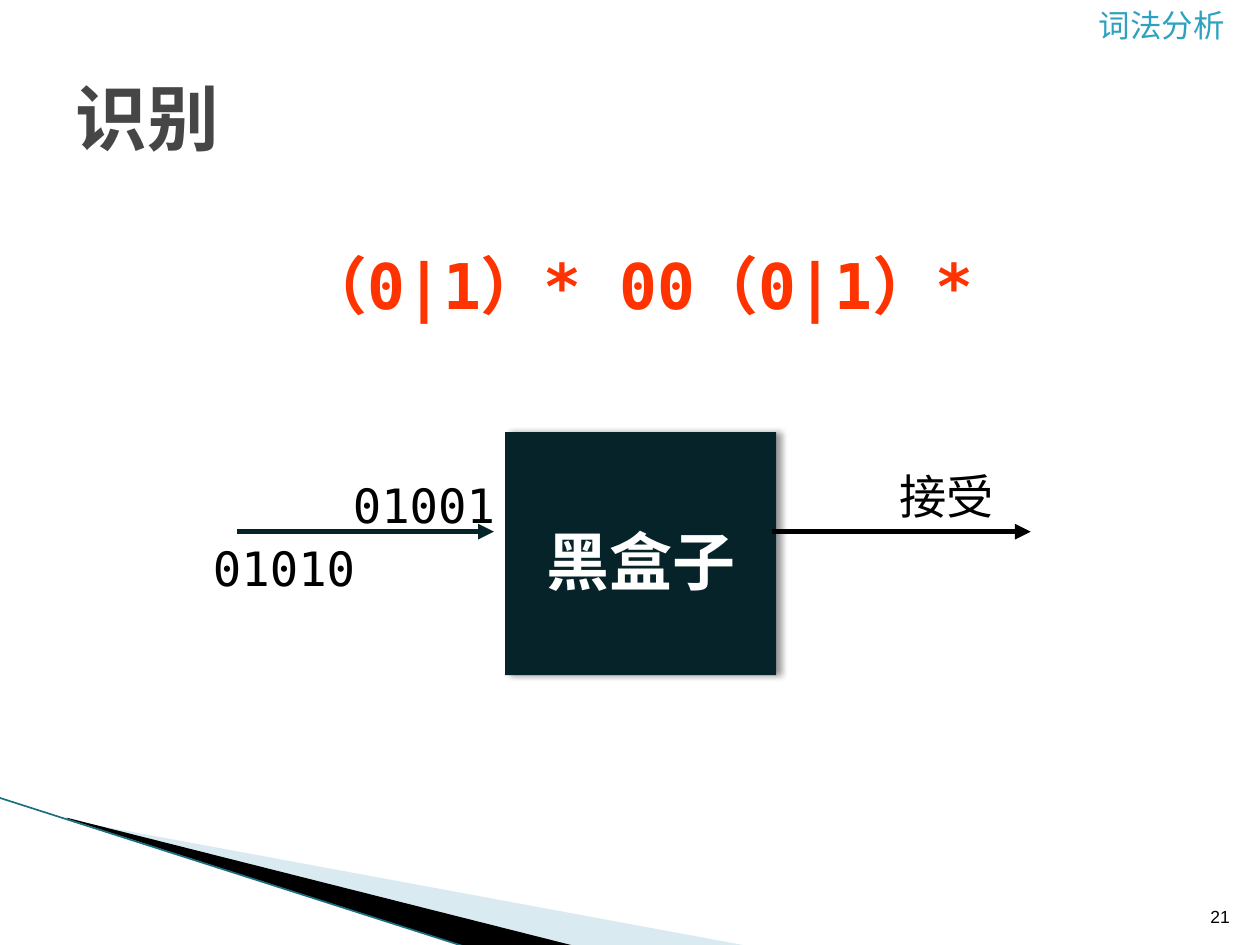
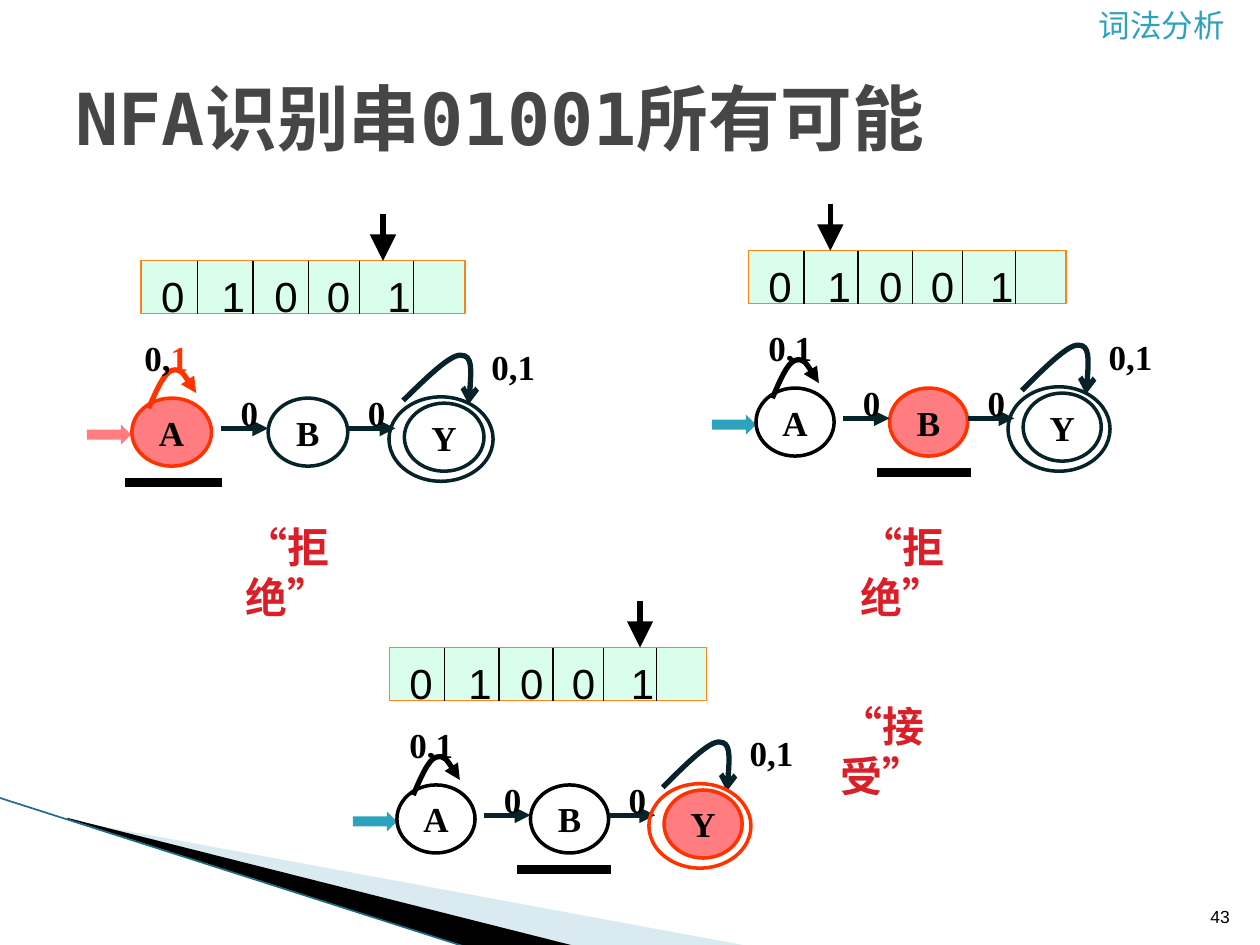
from dataclasses import dataclass

from lxml import etree
from pptx import Presentation
from pptx.dml.color import RGBColor
from pptx.enum.lang import MSO_LANGUAGE_ID as LANG
from pptx.enum.shapes import MSO_CONNECTOR as CONN, MSO_SHAPE as SHAPE
from pptx.enum.text import MSO_ANCHOR as ANCHOR, MSO_AUTO_SIZE as FIT, PP_ALIGN as ALIGN
from pptx.oxml.ns import qn
from pptx.util import Inches, Pt

MONO, SANS, SERIF = "DejaVu Sans Mono", "Arial", "Times New Roman"
BLACK, WHITE, DARK = "000000", "FFFFFF", "062329"
TEAL, PALE, EDGE = "2DA2BF", "A0CBDC", "1B6F82"
HOT, ROSE, RED = "FF3300", "FF7C80", "DA1F28"
GREY, MINT, ORANGE = "464646", "DAFEEC", "FF8119"

# Automaton geometry, in inches from the top left of the start arrow
STATES = (("A", 0.35, -0.21), ("B", 1.41, -0.21), ("Y", 2.47, -0.17))
TRANSITIONS = ((1.04, 1.10), (2.03, 2.09))
START_LOOP = ((0.48, -0.13), (0.54, -0.27), (0.6, -0.41), (0.66, -0.43),
              (0.73, -0.45), (0.79, -0.35), (0.85, -0.25))
FINAL_LOOP = ((2.46, -0.19), (2.64, -0.37), (2.83, -0.56), (2.91, -0.55),
              (3.0, -0.55), (2.99, -0.36), (2.97, -0.16))
# Tape geometry, in inches from the left of the tape
DIVIDERS = (0.44, 0.87, 1.3, 1.7, 2.12)
DIGITS = ((0.06, "0"), (0.53, "1"), (0.94, "0"), (1.35, "0"), (1.82, "1"))


@dataclass
class Machine:
    left: float
    top: float
    outlines: tuple      # A, B, Y; the hot one is the active state
    start_fill: str
    tape_left: float
    head: float          # reading head, from the left of the tape
    bar: float           # underline, from the left of the machine
    loop_label: tuple
    scale: float = 1


def rgb(value):
    return RGBColor.from_string(value)


def add_effects(sp):
    return etree.SubElement(sp._element.spPr, qn("a:effectLst"))


def set_line(sp, color, width, head=None, size="med"):
    sp.line.color.rgb = rgb(color)
    sp.line.width = Pt(width)
    if head:
        etree.SubElement(sp.line._get_or_add_ln(), qn("a:tailEnd"),
                         type=head, w=size, len=size)


def add_run(p, text, size, font, color, bold=False):
    r = p.add_run()
    r.text = text
    r.font.name, r.font.size, r.font.bold = font, Pt(size), bold
    r.font.color.rgb = rgb(color)
    return r


def add_line(slide, start, end, color, width, head=None, size="med"):
    line = slide.shapes.add_connector(CONN.STRAIGHT, *map(Inches, start + end))
    set_line(line, color, width, head, size)
    add_effects(line)


def add_box(slide, shape, box, fill=None, line=None, width=1):
    sp = slide.shapes.add_shape(shape, *map(Inches, box))
    style(sp, fill, line, width)
    return sp


def style(sp, fill=None, line=None, width=1, head=None):
    """Apply fill and outline, and drop the shadow."""
    sp.shadow.inherit = False
    if fill:
        sp.fill.solid()
        sp.fill.fore_color.rgb = rgb(fill)
    else:
        sp.fill.background()
    if line:
        set_line(sp, line, width, head)
    else:
        sp.line.fill.background()


def add_text(slide, box, runs, wrap=True, align=ALIGN.LEFT):
    tb = slide.shapes.add_textbox(*map(Inches, box))
    tf = tb.text_frame
    tf.word_wrap = wrap
    p = tf.paragraphs[0]
    p.alignment = align
    for run in runs:
        add_run(p, *run)
    return tb


def add_outline(slide, points, closed):
    points = [(Inches(x), Inches(y)) for x, y in points]
    builder = slide.shapes.build_freeform(*points[0])
    builder.add_line_segments(points[1:], close=closed)
    return builder.convert_to_shape()


def add_loop(slide, points, color, head):
    """Draw two joined cubic curves ending in an arrowhead."""
    sp = add_outline(slide, points, False)
    segments = list(sp._element.iter(qn("a:lnTo")))
    for i in range(0, len(segments), 3):
        curve = etree.SubElement(segments[i].getparent(), qn("a:cubicBezTo"))
        for segment in segments[i:i + 3]:
            curve.append(segment[0])
            segment.getparent().remove(segment)
    style(sp, line=color, width=3, head=head)


def add_frame(slide, title, number):
    """Add what all slides share: corner wedge, chapter, number and title."""
    pale = add_outline(slide, [(0.55, 6.51), (5.95, 7.51), (4.56, 7.51), (0.55, 6.5)], True)
    style(pale, PALE)
    color = pale.fill._xPr.find(qn("a:solidFill"))[0]
    etree.SubElement(color, qn("a:alpha"), val="40000")
    black = add_outline(slide, [(0.53, 6.49), (4.57, 7.51), (3.72, 7.52), (0.54, 6.5)], True)
    style(black, BLACK)
    add_line(slide, (-0.01, 6.33), (3.71, 7.52), EDGE, 0.95)
    add_text(slide, (8.62, 0, 1.38, 0.4), [("词法分析", 18, SANS, TEAL)])
    num = add_text(slide, (9.46, 7.01, 0.4, 0.4), [(number, 10, SANS, BLACK)],
                   wrap=False, align=ALIGN.RIGHT)
    num.text_frame.vertical_anchor = ANCHOR.BOTTOM
    sp = slide.shapes.title
    place(sp, (0.5, 0.3, 9, 1.25))
    p = sp.text_frame.paragraphs[0]
    p.alignment = ALIGN.LEFT
    add_run(p, title, 41, MONO, GREY, True)


def place(sp, box):
    sp.left, sp.top, sp.width, sp.height = map(Inches, box)
    sp.text_frame.auto_size = FIT.NONE


def format_paragraph(p, margin, indent=0, before=0):
    p.space_before = Pt(before)
    pPr = p._p.get_or_add_pPr()
    pPr.set("marL", str(Inches(margin)))
    pPr.set("indent", str(Inches(indent)))
    etree.SubElement(pPr, qn("a:buNone"))


def add_black_box(slide):
    sp = add_box(slide, SHAPE.RECTANGLE, (4.01, 3.43, 2.15, 1.93), DARK)
    effects = sp._element.spPr.find(qn("a:effectLst"))
    shadow = etree.SubElement(effects, qn("a:outerShdw"), blurRad=str(Pt(4)),
                              dist=str(Pt(3)), dir="0", rotWithShape="0")
    color = etree.SubElement(shadow, qn("a:srgbClr"), val=BLACK)
    etree.SubElement(color, qn("a:alpha"), val="40000")
    tf = sp.text_frame
    tf.margin_top = Inches(0.15)
    tf.vertical_anchor = ANCHOR.MIDDLE
    p = tf.paragraphs[0]
    p.alignment = ALIGN.CENTER
    add_run(p, "黑盒子", 36, "Lato", WHITE, True)


def add_recognition(slide):
    body = slide.placeholders[1]
    place(body, (0.51, 1.91, 9, 3.2))
    tf = body.text_frame
    formula, first, second = tf.paragraphs[0], tf.add_paragraph(), tf.add_paragraph()
    format_paragraph(formula, 0.4, -0.28)
    formula.alignment = ALIGN.CENTER
    add_run(formula, "（0|1）* 00（0|1）*", 36, MONO, HOT, True)
    for p, text, margin, before in ((first, "01001", 2.19, 88), (second, "01010", 1.08, 3.5)):
        format_paragraph(p, margin, before=before)
        add_run(p, text, 27, MONO, BLACK)
    add_text(slide, (7.04, 3.66, 1, 0.62), [("接受", 27, MONO, BLACK)], wrap=False)
    add_black_box(slide)
    add_line(slide, (1.88, 4.22), (3.92, 4.22), DARK, 3, "triangle")
    add_line(slide, (6.13, 4.22), (8.18, 4.22), BLACK, 3, "triangle")


def add_tape(slide, m):
    top = m.top - 1.3

    def at(dx):
        return m.tape_left + dx * m.scale

    add_box(slide, SHAPE.RECTANGLE, (m.tape_left, top, 2.52 * m.scale, 0.42),
            MINT, ORANGE, 0.75)
    for dx in DIVIDERS:
        add_line(slide, (at(dx), top), (at(dx), top + 0.42), BLACK, 0.75)
    for dx, digit in DIGITS:
        add_text(slide, (at(dx), top + 0.03, 0.37, 0.5),
                 [(digit, 24, SANS, BLACK)], wrap=False)
    head = m.tape_left + m.head
    add_line(slide, (head, top - 0.37), (head, top), BLACK, 3, "triangle", "lg")


def add_automaton(slide, m):
    def at(dx, dy):
        return m.left + dx * m.scale, m.top + dy

    def label(dx, dy, *parts):
        runs = [(text, 20, SERIF, color, True) for text, color in parts]
        add_text(slide, (*at(dx, dy), 0.55, 0.43), runs, wrap=False)

    def oval(dx, dy, w, h, fill, line):
        return add_box(slide, SHAPE.OVAL, (*at(dx, dy), w * m.scale, h), fill, line, 2)

    add_loop(slide, [at(*pt) for pt in FINAL_LOOP], DARK, "arrow")
    add_box(slide, SHAPE.RIGHT_ARROW, (m.left, m.top, 0.35, 0.16), m.start_fill)
    for (name, dx, dy), outline in zip(STATES, m.outlines):
        sp = oval(dx, dy, 0.62, 0.54, ROSE if outline == HOT else WHITE, outline)
        tf = sp.text_frame
        tf.word_wrap = False
        tf.vertical_anchor = ANCHOR.MIDDLE
        tf.paragraphs[0].alignment = ALIGN.CENTER
        add_run(tf.paragraphs[0], name, 20, SERIF, BLACK, True)
    for start, text_left in TRANSITIONS:
        add_line(slide, at(start, 0.03), at(start + 0.37, 0.03), DARK, 3, "triangle")
        label(text_left, -0.31, ("0", BLACK))
    add_loop(slide, [at(*pt) for pt in START_LOOP], m.outlines[0], "triangle")
    label(0.35, -0.75, *m.loop_label)
    label(3.05, -0.68, ("0,1", BLACK))
    add_line(slide, at(m.bar, 0.46), at(m.bar + 0.75, 0.46), BLACK, 5)
    oval(2.35, -0.22, 0.81, 0.67, None, m.outlines[2])


def add_verdict(slide, left, top, text):
    tb = add_text(slide, (left, top, 1.16, 0.5), [(text, 24, "Comic Neue", RED, True)])
    tb.text_frame.paragraphs[0].runs[0].font.language_id = LANG.SIMPLIFIED_CHINESE


def main():
    prs = Presentation()
    prs.slide_width, prs.slide_height = Inches(10), Inches(7.5)

    slide = prs.slides.add_slide(prs.slide_layouts[1])
    add_frame(slide, "识别", "21")
    add_recognition(slide)

    slide = prs.slides.add_slide(prs.slide_layouts[5])
    add_frame(slide, "NFA识别串01001所有可能", "43")
    plain = (("0,1", BLACK),)
    machines = (
        Machine(0.69, 3.37, (HOT, DARK, DARK), ROSE, 1.12, 1.92, 0.3,
                (("0,", BLACK), ("1", HOT)), 1.02),
        Machine(5.65, 3.29, (BLACK, HOT, DARK), TEAL, 5.94, 0.65, 1.31, plain),
        Machine(2.8, 6.44, (BLACK, BLACK, HOT), TEAL, 3.09, 1.99, 1.3, plain),
    )
    for machine in machines:
        add_automaton(slide, machine)
        add_tape(slide, machine)
    for left, top, text in ((6.57, 5.51, "“接受”"), (1.85, 4.09, "“拒绝”"),
                            (6.73, 4.09, "“拒绝”")):
        add_verdict(slide, left, top, text)

    prs.save("out.pptx")


if __name__ == "__main__":
    main()
